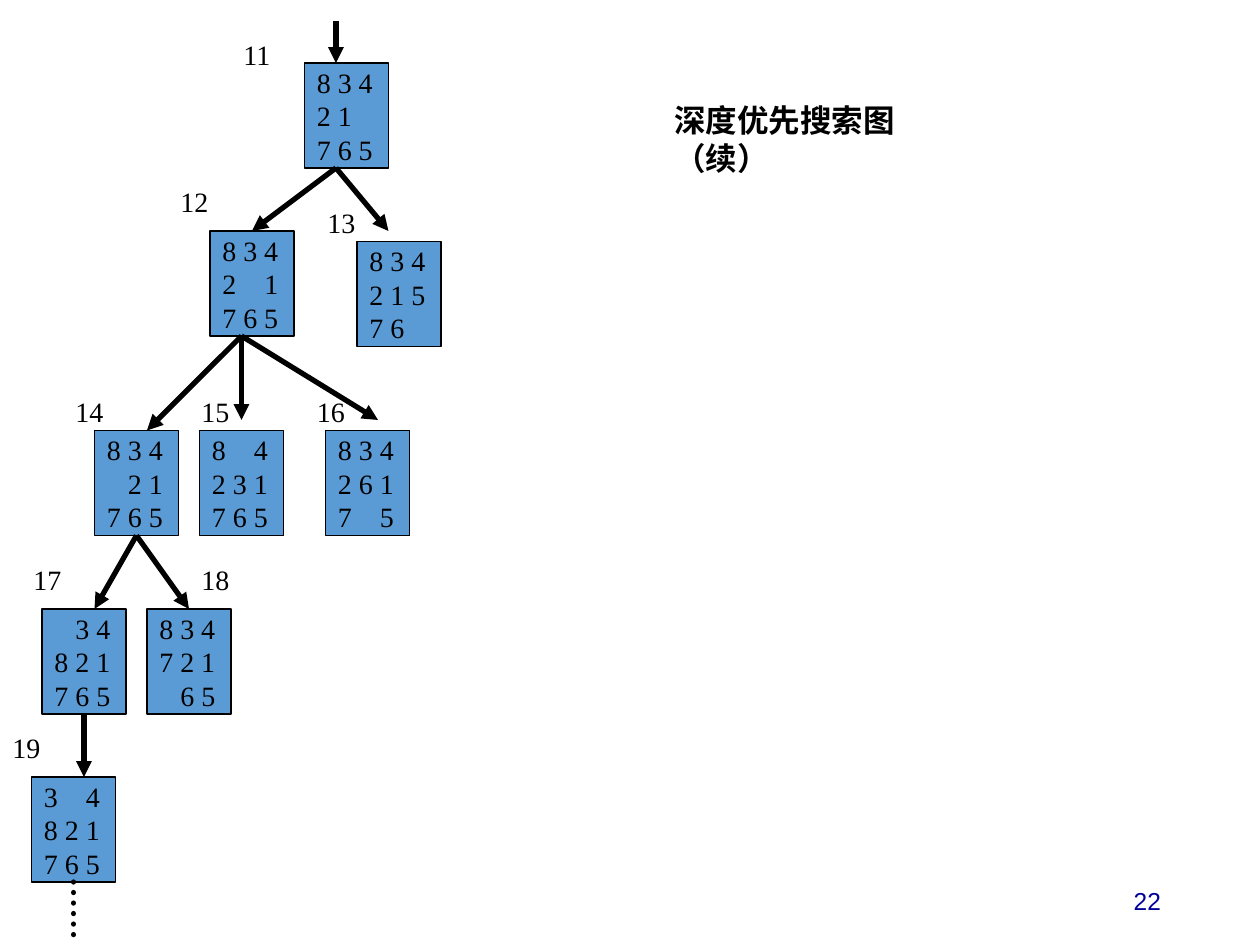
from lxml import etree
from pptx import Presentation
from pptx import util as u
from pptx.dml import color
from pptx.enum import dml, shapes, text
from pptx.oxml import ns

BLACK = "000000"
SERIF = "Times New Roman"
STEP = 6


def rgb(value):
    return color.RGBColor.from_string(value)


def add_span(para, words, size, face=SERIF, ink=BLACK, bold=False):
    span = para.add_run()
    span.text = words
    span.font.size = u.Pt(size)
    span.font.name = face
    span.font.bold = bold
    span.font.color.rgb = rgb(ink)


deck = Presentation()
deck.slide_width, deck.slide_height = u.Pt(720), u.Pt(540)
page = deck.slides.add_slide(deck.slide_layouts[5])

title = page.shapes.title
title.left, title.top, title.width, title.height = u.Pt(378), u.Pt(54), u.Pt(186), u.Pt(50)
title.text_frame.word_wrap = True
title.text_frame.auto_size = text.MSO_AUTO_SIZE.NONE
title.text_frame.vertical_anchor = text.MSO_ANCHOR.TOP
para = title.text_frame.paragraphs[0]
para.alignment = text.PP_ALIGN.LEFT
add_span(para, "深度优先搜索图（续）", 18, bold=True)

# number: board left and top, label left and top (in grid steps), rows with _ for the empty cell
states = {
    11: (29, 6, 22, 3, "834 21_ 765"),
    12: (20, 22, 16, 17, "834 2_1 765"),
    13: (34, 23, 30, 19, "834 215 76_"),
    14: (9, 41, 6, 37, "834 _21 765"),
    15: (19, 41, 18, 37, "8_4 231 765"),
    16: (31, 41, 29, 37, "834 261 7_5"),
    17: (4, 58, 2, 53, "_34 821 765"),
    18: (14, 58, 18, 53, "834 721 _65"),
    19: (3, 74, 0, 69, "3_4 821 765"),
}
boards = {}
for number, (left, top, label_left, label_top, rows) in states.items():
    board = page.shapes.add_shape(shapes.MSO_SHAPE.FLOWCHART_PROCESS, u.Pt(left * STEP),
                                  u.Pt(top * STEP), u.Pt(48), u.Pt(60))
    board.shadow.inherit = False
    board.fill.solid()
    board.fill.fore_color.rgb = rgb("5B9BD5")
    board.line.color.rgb = rgb(BLACK)
    board.line.width = u.Pt(0.75)
    frame = board.text_frame
    frame.word_wrap = True
    frame.vertical_anchor = text.MSO_ANCHOR.MIDDLE
    for index, row in enumerate(rows.split()):
        para = frame.add_paragraph() if index else frame.paragraphs[0]
        para.alignment = text.PP_ALIGN.LEFT
        props = para._p.get_or_add_pPr()
        if row[0] == "_":
            props.set("marL", str(u.Pt(12)))
            words = " ".join(row[1:])
        elif row[1] == "_":
            stops = etree.SubElement(props, ns.qn("a:tabLst"))
            etree.SubElement(stops, ns.qn("a:tab"), pos=str(u.Pt(24)), algn="l")
            words = row.replace("_", "\t")
        else:
            words = " ".join(row.strip("_"))
        add_span(para, words, 16)
    boards[number] = board

    label = page.shapes.add_textbox(u.Pt(label_left * STEP), u.Pt(label_top * STEP),
                                    u.Pt(36), u.Pt(26.5))
    label.text_frame.word_wrap = True
    add_span(label.text_frame.paragraphs[0], str(number), 16)

# start and end points in grid steps, then the boards joined at bottom and top
links = [
    (32, 2, 32, 6, None, None),
    (32, 16, 24, 22, None, 12),
    (32, 16, 37, 22, None, None),
    (23, 32, 14, 41, None, None),
    (23, 32, 23, 40, None, None),
    (23, 32, 36, 40, None, None),
    (13, 51, 9, 58, 14, None),
    (13, 51, 18, 58, 14, 18),
    (8, 68, 8, 74, 17, None),
    (7, 84, 7, 90, 19, None),
]
for x1, y1, x2, y2, parent, child in links:
    link = page.shapes.add_connector(shapes.MSO_CONNECTOR.STRAIGHT, u.Pt(x1 * STEP),
                                     u.Pt(y1 * STEP), u.Pt(x2 * STEP), u.Pt(y2 * STEP))
    if parent:
        link.begin_connect(boards[parent], 2)
    if child:
        link.end_connect(boards[child], 0)
    link.line.color.rgb = rgb(BLACK)
    link.line.width = u.Pt(3)
    stroke = link.line._get_or_add_ln()
    if parent == 19:
        link.line.dash_style = dml.MSO_LINE.ROUND_DOT
        stroke.set("cap", "rnd")
    else:
        etree.SubElement(stroke, ns.qn("a:tailEnd"), type="triangle")
    etree.SubElement(link._element.spPr, ns.qn("a:effectLst"))

footer = page.shapes.add_textbox(u.Pt(508.5), u.Pt(500.5), u.Pt(162), u.Pt(28.8))
footer.text_frame.word_wrap = True
footer.text_frame.vertical_anchor = text.MSO_ANCHOR.MIDDLE
para = footer.text_frame.paragraphs[0]
para.alignment = text.PP_ALIGN.RIGHT
add_span(para, "22", 14, "Arial", "000099")

deck.save("out.pptx")
